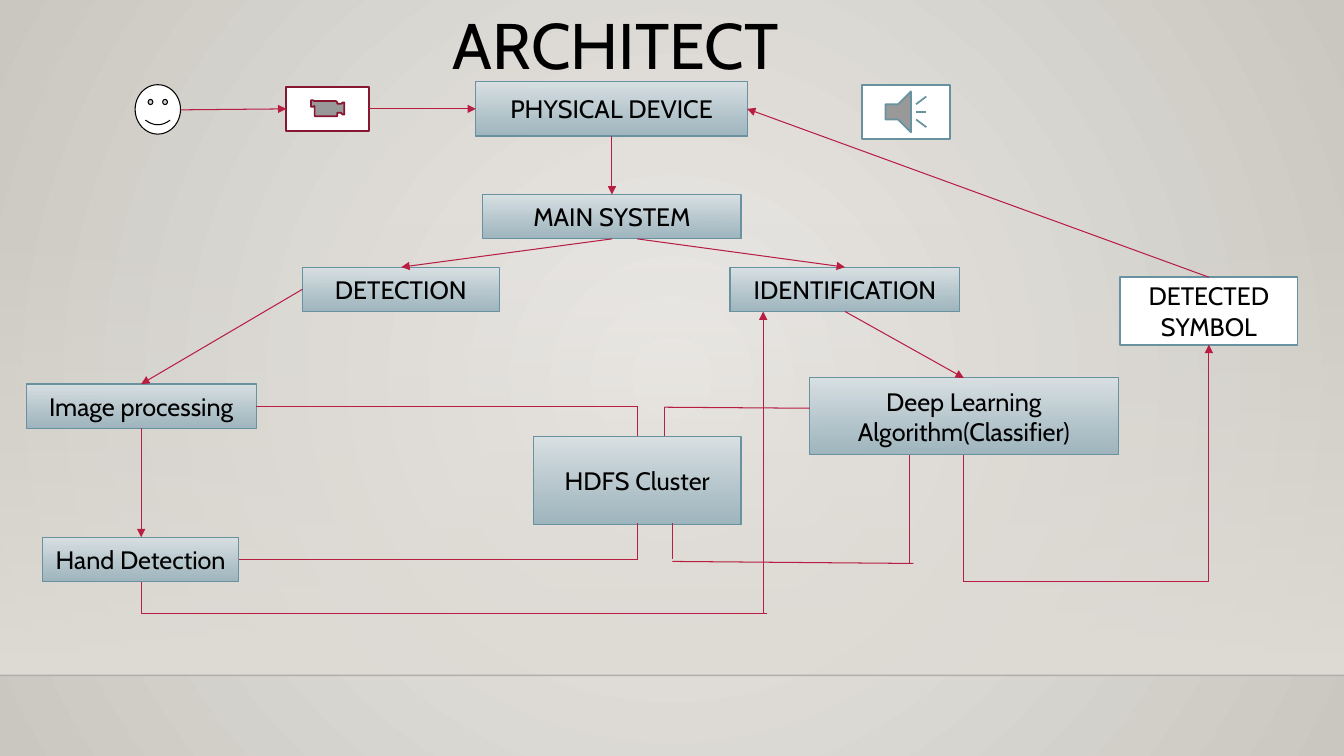
from lxml import etree
from pptx import Presentation
from pptx import util as u
from pptx.dml.color import RGBColor
from pptx.enum import shapes, text
from pptx.oxml.ns import qn

PX = 9144  # 100 px to the inch
FONT = "Cabin"

BLACK = RGBColor(0, 0, 0)
WHITE = RGBColor(255, 255, 255)
CRIMSON = RGBColor(0xB7, 0x1E, 0x42)
MAROON = RGBColor(0x87, 0x16, 0x31)
STEEL = RGBColor(0x68, 0x92, 0xA0)
BOX_TOP = RGBColor(0xD9, 0xE1, 0xE4)
BOX_BOTTOM = RGBColor(0x9A, 0xB2, 0xBC)
WALL_LIGHT = RGBColor(0xEC, 0xEA, 0xE7)
WALL_DARK = RGBColor(0xCA, 0xC7, 0xC1)
WALL_GLOW = RGBColor(0xDF, 0xDB, 0xD5)

# Process boxes: label, left, top, width, height
BOXES = [
    ("PHYSICAL DEVICE", 472, 81, 269, 54),
    ("MAIN SYSTEM", 479, 193, 256, 44),
    ("DETECTION", 300, 265, 195, 44),
    ("IDENTIFICATION", 724, 265, 228, 44),
    ("Image processing", 26, 381, 228, 44),
    ("Hand Detection", 42, 533, 195, 44),
    ("HDFS Cluster", 529, 433, 206, 87),
    ("Deep Learning Algorithm(Classifier)", 803, 375, 306, 76),
]

# Arrows: from x, from y, to x, to y
ARROWS = [
    (179, 109, 284, 108),    # person to camera
    (366, 108, 472, 108),    # camera to device
    (607, 135, 607, 193),    # device to main system
    (607, 237, 398, 265),    # main system to detection
    (632, 237, 838, 265),    # main system to identification
    (300, 287, 140, 381),    # detection to image processing
    (140, 425, 140, 533),    # image processing to hand detection
    (757, 609, 757, 309),    # hand detection to identification
    (838, 309, 956, 375),    # identification to classifier
    (1199, 577, 1199, 342),  # classifier to detected symbol
    (1199, 275, 741, 108),   # detected symbol to device
]

# Plain line segments
LINES = [
    (254, 403, 632, 403), (632, 403, 632, 433),    # image processing to cluster
    (632, 519, 632, 556), (632, 555, 237, 555),    # cluster to hand detection
    (560, 549, 560, 549),                          # dot
    (140, 577, 140, 609), (140, 609, 761, 609),    # hand detection outlet
    (803, 405, 659, 404), (659, 404, 659, 433),    # classifier to cluster
    (667, 519, 667, 555), (667, 557, 906, 559),    # cluster to classifier
    (902, 559, 902, 451),
    (956, 451, 956, 577), (956, 577, 1199, 577),   # classifier outlet
]


def px(*lengths):
    return [u.Emu(length * PX) for length in lengths]


def set_alpha(holder, percent):
    color = next(holder.iter(qn("a:srgbClr")))
    etree.SubElement(color, qn("a:alpha")).set("val", str(percent * 1000))


def set_gradient(fill, first, last):
    fill.gradient()
    for stop, color in zip(fill.gradient_stops, (first, last)):
        stop.color.rgb = color


def shade_down(shape, first, last, first_alpha=100, last_alpha=100):
    set_gradient(shape.fill, first, last)
    shape.fill.gradient_angle = 270
    stops = shape.element.spPr.iter(qn("a:gs"))
    for stop, alpha in zip(stops, (first_alpha, last_alpha)):
        if alpha < 100:
            set_alpha(stop, alpha)


def write(shape, words, size):
    frame = shape.text_frame
    frame.text = words
    frame.word_wrap = True
    para = frame.paragraphs[0]
    para.alignment = text.PP_ALIGN.CENTER
    font = para.runs[0].font
    font.name, font.size, font.color.rgb = FONT, u.Pt(size), BLACK


def add_shape(page, kind, place, outline=None, weight=0.75):
    shape = page.shapes.add_shape(kind, *px(*place))
    shape.shadow.inherit = False
    shape.fill.solid()
    shape.fill.fore_color.rgb = WHITE
    if outline is None:
        shape.line.fill.background()
    else:
        shape.line.color.rgb = outline
        shape.line.width = u.Pt(weight)
    return shape


def add_box(page, label, place, weight=0.75):
    box = add_shape(page, shapes.MSO_SHAPE.RECTANGLE, place, STEEL, weight)
    box.text_frame.vertical_anchor = text.MSO_ANCHOR.MIDDLE
    write(box, label, 18)
    return box


def add_line(page, ends, color=CRIMSON, weight=0.75, arrow=False):
    line = page.shapes.add_connector(shapes.MSO_CONNECTOR.STRAIGHT, *px(*ends))
    line.line.color.rgb = color
    line.line.width = u.Pt(weight)
    props = line.element.spPr
    if arrow:
        etree.SubElement(props.find(qn("a:ln")), qn("a:tailEnd")).set("type", "triangle")
    etree.SubElement(props, qn("a:effectLst"))
    return line


def add_backdrop(page):
    fill = page.background.fill
    set_gradient(fill, WALL_LIGHT, WALL_DARK)
    # Radial shading from the centre of the slide
    gradient = next(page.element.iter(qn("a:gradFill")))
    gradient.remove(gradient.find(qn("a:lin")))
    radial = etree.SubElement(gradient, qn("a:path"))
    radial.set("path", "circle")
    center = etree.SubElement(radial, qn("a:fillToRect"))
    for side in "ltrb":
        center.set(side, "50000")
    # Wall glow and floor line
    glow = add_shape(page, shapes.MSO_SHAPE.RECTANGLE, (0, 221, 1333, 449))
    shade_down(glow, WALL_GLOW, WALL_GLOW, first_alpha=0)
    floor = add_line(page, (0, 670, 1333, 670), BLACK, 1)
    set_alpha(floor.element.spPr, 20)


def main():
    deck = Presentation()
    deck.slide_width, deck.slide_height = px(1333, 750)
    page = deck.slides.add_slide(deck.slide_layouts[6])
    add_backdrop(page)

    # Title
    title = page.shapes.add_textbox(*px(380, 0, 461, 91))
    write(title, "ARCHITECT", 46)

    # Boxes
    for label, *place in BOXES:
        box = add_box(page, label, place)
        shade_down(box, BOX_TOP, BOX_BOTTOM, last_alpha=92)
    add_box(page, "DETECTED SYMBOL", (1111, 275, 176, 67), 1.25)

    # Icons
    kinds = shapes.MSO_SHAPE
    add_shape(page, kinds.SMILEY_FACE, (134, 84, 45, 49), BLACK)
    add_shape(page, kinds.ACTION_BUTTON_MOVIE, (284, 86, 82, 44), MAROON, 1.25)
    add_shape(page, kinds.ACTION_BUTTON_SOUND, (855, 84, 87, 54), STEEL, 1.25)

    # Flow
    for ends in LINES:
        add_line(page, ends)
    for ends in ARROWS:
        add_line(page, ends, arrow=True)

    deck.save("out.pptx")


if __name__ == "__main__":
    main()
